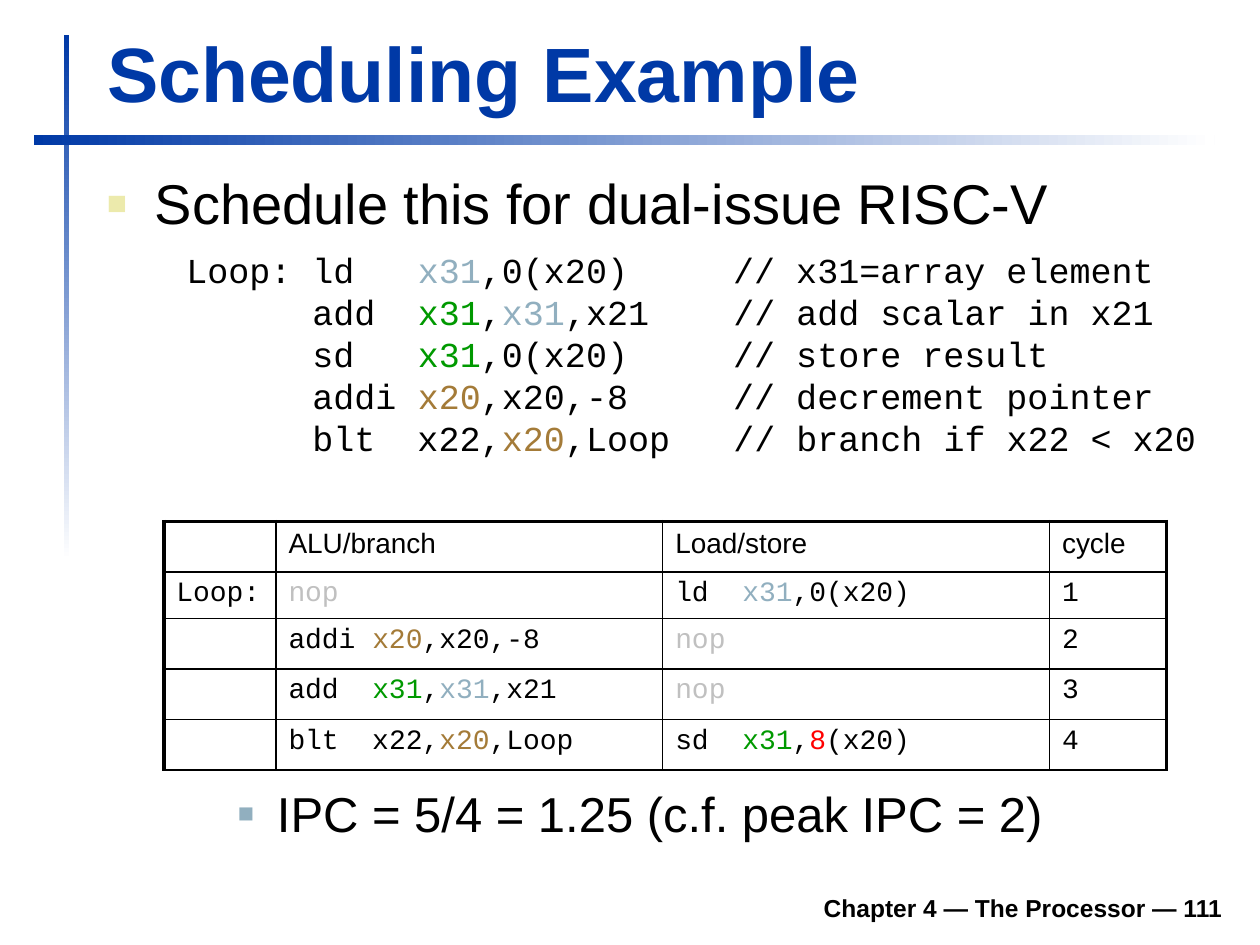
from lxml import etree
from pptx import Presentation
from pptx.dml.color import RGBColor
from pptx.enum.shapes import MSO_SHAPE
from pptx.enum.text import MSO_ANCHOR, PP_ALIGN
from pptx.oxml import parse_xml
from pptx.oxml.ns import nsdecls, qn
from pptx.util import Inches, Pt

RECTANGLE = MSO_SHAPE.RECTANGLE
BOTTOM, TOP = MSO_ANCHOR.BOTTOM, MSO_ANCHOR.TOP
LEFT, RIGHT = PP_ALIGN.LEFT, PP_ALIGN.RIGHT

THEME = {
    "colors": {
        "accent": "0039A6", "paper": "FFFFFF", "text": "000000", "cream": "ECEAAC",
        "B": "91AFBF", "G": "009900", "O": "A47B38", "N": "C0C0C0", "R": "FF0000",
    },
    "sizes": {"title": 44, "body": 32, "detail": 28, "code": 20, "table": 16, "footer": 14},
    "sans": "Arial",
    "mono": "Courier New",
}
COLORS, SIZES = THEME["colors"], THEME["sizes"]
SANS, MONO = THEME["sans"], THEME["mono"]


def write(paragraph, markup, size, font_name, color="text", bold=False):
    for index, piece in enumerate(markup.split("|")):
        run = paragraph.add_run()
        marked = index % 2 == 1
        run.text = piece[1:] if marked else piece
        run_color = COLORS[piece[0] if marked else color]
        for name, value in {"size": Pt(SIZES[size]), "name": font_name, "bold": bold}.items():
            setattr(run.font, name, value)
        run.font.color.rgb = RGBColor.from_string(run_color)


def add_text_box(left, top, width, height, **frame_format):
    box = slide.shapes.add_textbox(Inches(left), Inches(top), Inches(width), Inches(height))
    for name, value in {"word_wrap": True, **frame_format}.items():
        setattr(box.text_frame, name, value)
    return box.text_frame.paragraphs[0]


presentation = Presentation()
presentation.slide_width = Inches(10)
presentation.slide_height = Inches(7.5)
slide = presentation.slides.add_slide(presentation.slide_layouts[5])

rules = [
    (0.51, 0.28, 0.04, 4.17, 270),
    (0.27, 1.07, 9.37, 0.08, 0),
]
for left, top, width, height, angle in rules:
    rule = slide.shapes.add_shape(
        RECTANGLE, Inches(left), Inches(top), Inches(width), Inches(height)
    )
    rule.shadow.inherit = False
    rule.line.fill.background()
    rule.fill.gradient()
    rule.fill.gradient_angle = angle
    for stop, color, position in zip(rule.fill.gradient_stops, ("accent", "paper"), (0, 1)):
        stop.color.rgb = RGBColor.from_string(COLORS[color])
        stop.position = position

title = slide.shapes.title
title_place = {"left": 0.75, "top": 0.16, "width": 9.03, "height": 0.83}
for name, value in title_place.items():
    setattr(title, name, Inches(value))
title.text_frame.vertical_anchor = BOTTOM
title_paragraph = title.text_frame.paragraphs[0]
title_paragraph.alignment = LEFT
write(title_paragraph, "Scheduling Example", "title", SANS, "accent", True)

bullets = [
    ("Schedule this for dual-issue RISC-V", (0.75, 1.23, 9.05, 0.76),
     "body", 0, 0.38, -0.38, "cream", 60),
    ("IPC = 5/4 = 1.25 (c.f. peak IPC = 2)", (1.29, 6.11, 8.5, 0.71),
     "detail", 1, 0.81, -0.31, "B", 55),
]
for text, place, size, level, margin, indent, bullet_color, percent in bullets:
    paragraph = add_text_box(*place, margin_top=Inches(0.11))
    paragraph.level = level
    properties = paragraph._p.get_or_add_pPr()
    properties.set("marL", str(Inches(margin)))
    properties.set("indent", str(Inches(indent)))
    color_element = etree.SubElement(properties, qn("a:buClr"))
    etree.SubElement(color_element, qn("a:srgbClr"), val=COLORS[bullet_color])
    etree.SubElement(properties, qn("a:buSzPct"), val=str(percent * 1000))
    etree.SubElement(properties, qn("a:buFont"), typeface=SANS)
    etree.SubElement(properties, qn("a:buChar"), char="■")
    write(paragraph, text, size, SANS)

code_lines = [
    "Loop: ld   |Bx31|,0(x20)     // x31=array element",
    "      add  |Gx31|,|Bx31|,x21    // add scalar in x21",
    "      sd   |Gx31|,0(x20)     // store result",
    "      addi |Ox20|,x20,-8     // decrement pointer",
    "      blt  x22,|Ox20|,Loop   // branch if x22 < x20",
]
code = add_text_box(1.38, 1.92, 8.28, 1.78, word_wrap=False)
for index, line in enumerate(code_lines):
    if index:
        code.add_line_break()
    write(code, line, "code", MONO)

schedule = [
    ["", "ALU/branch", "Load/store", "cycle"],
    ["Loop:", "|Nnop|", "ld  |Bx31|,0(x20)", "1"],
    ["", "addi |Ox20|,x20,-8", "|Nnop|", "2"],
    ["", "add  |Gx31|,|Bx31|,x21", "|Nnop|", "3"],
    ["", "blt  x22,|Ox20|,Loop", "sd  |Gx31|,|R8|(x20)", "4"],
]
column_widths = [0.89, 3.07, 3.07, 0.93]
last_column = len(column_widths) - 1
table = slide.shapes.add_table(
    len(schedule), len(column_widths), Inches(1.3), Inches(4.14), Inches(7.95), Inches(1.83)
).table
table.first_row = False
table.horz_banding = False
for column, width in zip(table.columns, column_widths):
    column.width = Inches(width)
for row_index, row in enumerate(schedule):
    table.rows[row_index].height = Inches(0.37)
    for column_index, markup in enumerate(row):
        cell = table.cell(row_index, column_index)
        cell.vertical_anchor = TOP
        font_name = MONO if row_index else SANS
        write(cell.text_frame.paragraphs[0], markup, "table", font_name)
        borders = {
            "lnL": 2.25 if column_index == 0 else 1,
            "lnR": 2.25 if column_index == last_column else 1,
            "lnT": {0: 2.25, 1: 1.5}.get(row_index, 1),
            "lnB": 1.5 if row_index == 0 else 1,
        }
        for side, weight in borders.items():
            cell._tc.get_or_add_tcPr().append(parse_xml(
                f'<a:{side} {nsdecls("a")} w="{Pt(weight)}"><a:solidFill>'
                f'<a:srgbClr val="{COLORS["text"]}"/></a:solidFill></a:{side}>'
            ))
        cell.fill.background()

footer = add_text_box(1.85, 6.98, 7.95, 0.39, vertical_anchor=BOTTOM)
footer.alignment = RIGHT
write(footer, "Chapter 4 — The Processor — 111", "footer", SANS, bold=True)

presentation.save("out.pptx")
